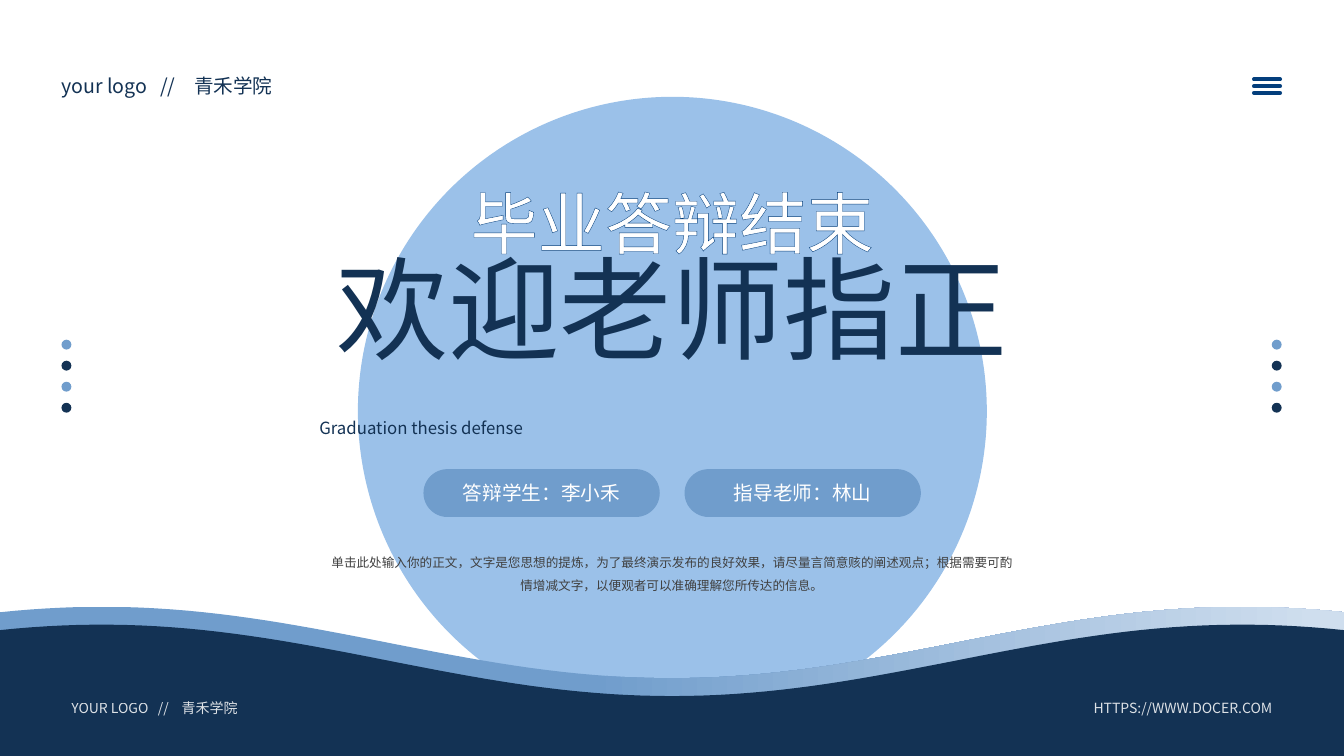
from dataclasses import dataclass
from math import cos, pi

from lxml.etree import SubElement
from pptx import Presentation
from pptx.dml.color import RGBColor
from pptx.enum.shapes import MSO_CONNECTOR, MSO_SHAPE
from pptx.enum.text import MSO_ANCHOR, PP_ALIGN
from pptx.oxml import parse_xml
from pptx.oxml.ns import nsdecls, qn
from pptx.shapes.autoshape import Shape
from pptx.slide import Slide
from pptx.util import Cm, Pt


@dataclass(frozen=True)
class Theme:
    navy: str = "133254"
    blue: str = "709DCC"
    sky: str = "9BC1E9"
    mist: str = "CFDEEE"
    ink: str = "033E7C"
    gray: str = "404040"
    white: str = "FFFFFF"
    font: str = "Noto Sans CJK SC"
    body_font: str = "Noto Sans CJK JP"
    display_size: int = 80
    title_size: int = 48
    label_size: int = 14
    subtitle_size: int = 12
    footer_size: int = 10
    body_size: int = 9


THEME = Theme()
WIDTH, HEIGHT = 33.87, 19.05


@dataclass(frozen=True)
class Area:
    left: float
    top: float
    width: float
    height: float

    def lengths(self) -> tuple[Cm, Cm, Cm, Cm]:
        return Cm(self.left), Cm(self.top), Cm(self.width), Cm(self.height)


@dataclass(frozen=True)
class Line:
    text: str
    size: int
    color: str
    align: PP_ALIGN = PP_ALIGN.CENTER
    font: str = THEME.font
    spacing: float | Pt | None = None
    outline: str | None = None
    opacity: int = 100
    tabs: tuple[float, ...] = ()


@dataclass(frozen=True)
class Wave:
    crest_shift: float
    bottom: float
    start_color: str
    end_color: str


LEFT, RIGHT = PP_ALIGN.LEFT, PP_ALIGN.RIGHT
BODY = ("单击此处输入你的正文，文字是您思想的提炼，为了最终演示发布的良好效果，"
        "请尽量言简意赅的阐述观点；根据需要可酌情增减文字，以便观者可以准确理解您所传达的信息。")

TEXT_BOXES = [
    (Area(6.17, 3.66, 21.54, 6.07), [
        Line("毕业答辩结束", THEME.title_size, THEME.white, spacing=Pt(80), outline=THEME.ink),
        Line("欢迎老师指正", THEME.display_size, THEME.navy, spacing=Pt(80))]),
    (Area(8.1, 13.67, 17.65, 1.42), [
        Line(BODY, THEME.body_size, THEME.gray, font=THEME.body_font, spacing=1.5)]),
    (Area(7.8, 10.41, 18.29, 0.79), [
        Line("Graduation thesis defense", THEME.subtitle_size, THEME.navy, PP_ALIGN.JUSTIFY)]),
    (Area(1.3, 1.75, 7.72, 0.86), [
        Line("your logo\t//\t青禾学院", THEME.label_size, THEME.navy, LEFT, tabs=(2.49, 3.34))]),
]
FOOTERS = [
    (1.55, Line("YOUR LOGO\t//\t青禾学院", THEME.footer_size, THEME.white, LEFT,
                opacity=85, tabs=(2.18, 2.78))),
    (24.59, Line("HTTPS://WWW.DOCER.COM", THEME.footer_size, THEME.white, RIGHT, opacity=85)),
]
PILL_LABELS = ["答辩学生：李小禾", "指导老师：林山"]
WAVES = [
    Wave(0, 17.68, THEME.blue, THEME.mist),
    Wave(0.45, HEIGHT, THEME.navy, THEME.navy),
]


def rgb(color: str) -> RGBColor:
    return RGBColor.from_string(color)


def write_lines(shape: Shape, lines: list[Line]) -> None:
    frame = shape.text_frame
    frame.word_wrap = True
    for index, line in enumerate(lines):
        para = frame.paragraphs[0] if index == 0 else frame.add_paragraph()
        for name, value in {"alignment": line.align, "line_spacing": line.spacing}.items():
            setattr(para, name, value)
        if line.tabs:
            tab_list = SubElement(para._p.get_or_add_pPr(), qn("a:tabLst"))
            for position in line.tabs:
                SubElement(tab_list, qn("a:tab"), pos=str(int(Cm(position))), algn="l")
        span = para.add_run()
        span.text = line.text
        for name, value in {"size": Pt(line.size), "name": line.font}.items():
            setattr(span.font, name, value)
        span.font.color.rgb = rgb(line.color)
        properties = span._r.get_or_add_rPr()
        SubElement(properties, qn("a:ea"), typeface=line.font)
        if line.opacity < 100:
            color = properties.find(".//" + qn("a:srgbClr"))
            SubElement(color, qn("a:alpha"), val=str(line.opacity * 1000))
        if line.outline:
            properties.insert(0, parse_xml(
                f'<a:ln {nsdecls("a")} w="{int(Pt(0.75))}"><a:solidFill>'
                f'<a:srgbClr val="{line.outline}"/></a:solidFill></a:ln>'))


def add_plain_shape(page: Slide, kind: MSO_SHAPE, area: Area, color: str) -> Shape:
    shape = page.shapes.add_shape(kind, *area.lengths())
    shape.shadow.inherit = False
    shape.fill.solid()
    shape.fill.fore_color.rgb = rgb(color)
    shape.line.fill.background()
    return shape


def add_wave(page: Slide, wave: Wave) -> None:
    """Draw a band whose upper edge is a cosine with its trough at mid-slide."""
    steps, half_period, middle, swing = 86, 14.37, 16.19 + wave.crest_shift, 0.9
    points = [(Cm(WIDTH), Cm(wave.bottom)), (0, Cm(wave.bottom))]
    for step in range(steps + 1):
        x = WIDTH * step / steps
        points.append((Cm(x), Cm(middle + swing * cos(pi * (x - WIDTH / 2) / half_period))))
    builder = page.shapes.build_freeform(*points[0])
    builder.add_line_segments(points[1:], close=True)
    shape = builder.convert_to_shape()
    shape.shadow.inherit = False
    shape.line.fill.background()
    if wave.start_color == wave.end_color:
        shape.fill.solid()
        shape.fill.fore_color.rgb = rgb(wave.start_color)
        return
    shape.fill.gradient()
    shape.fill.gradient_angle = 0
    stops = [(0.44, wave.start_color), (0.98, wave.end_color)]
    for stop, (position, color) in zip(shape.fill.gradient_stops, stops):
        stop.position = position
        stop.color.rgb = rgb(color)


def add_menu_bar(page: Slide, top: float) -> None:
    bar = page.shapes.add_connector(
        MSO_CONNECTOR.STRAIGHT, Cm(31.6), Cm(top), Cm(32.26), Cm(top))
    bar.line.width = Pt(2.75)
    bar.line.color.rgb = rgb(THEME.ink)
    properties = bar._element.spPr
    properties.find(qn("a:ln")).set("cap", "rnd")
    SubElement(properties, qn("a:effectLst"))


def main() -> None:
    deck = Presentation()
    deck.slide_width, deck.slide_height = Cm(WIDTH), Cm(HEIGHT)
    page = deck.slides.add_slide(deck.slide_layouts[6])
    page.background.fill.solid()
    page.background.fill.fore_color.rgb = rgb(THEME.white)

    for left in (32.05, 1.55):
        for row in range(4):
            color = THEME.navy if row % 2 else THEME.blue
            add_plain_shape(page, MSO_SHAPE.OVAL, Area(left, 8.56 + 0.53 * row, 0.25, 0.25), color)
    add_plain_shape(page, MSO_SHAPE.OVAL, Area(9.02, 2.44, 15.85, 15.85), THEME.sky)

    for area, lines in TEXT_BOXES:
        write_lines(page.shapes.add_textbox(*area.lengths()), lines)

    for index, label in enumerate(PILL_LABELS):
        area = Area(10.69 + 6.58 * index, 11.84, 5.92, 1.17)
        pill = add_plain_shape(page, MSO_SHAPE.ROUNDED_RECTANGLE, area, THEME.blue)
        pill.adjustments[0] = 0.5
        pill.line.color.rgb = rgb(THEME.blue)
        pill.line.width = Pt(1)
        write_lines(pill, [Line(label, THEME.label_size, THEME.white)])

    for wave in WAVES:
        add_wave(page, wave)
    for left, line in FOOTERS:
        footer = add_plain_shape(page, MSO_SHAPE.RECTANGLE, Area(left, 17.5, 7.72, 0.69), THEME.navy)
        footer.text_frame.vertical_anchor = MSO_ANCHOR.MIDDLE
        write_lines(footer, [line])
    for row in range(3):
        add_menu_bar(page, 2 + 0.17 * row)

    deck.save("out.pptx")


if __name__ == "__main__":
    main()
